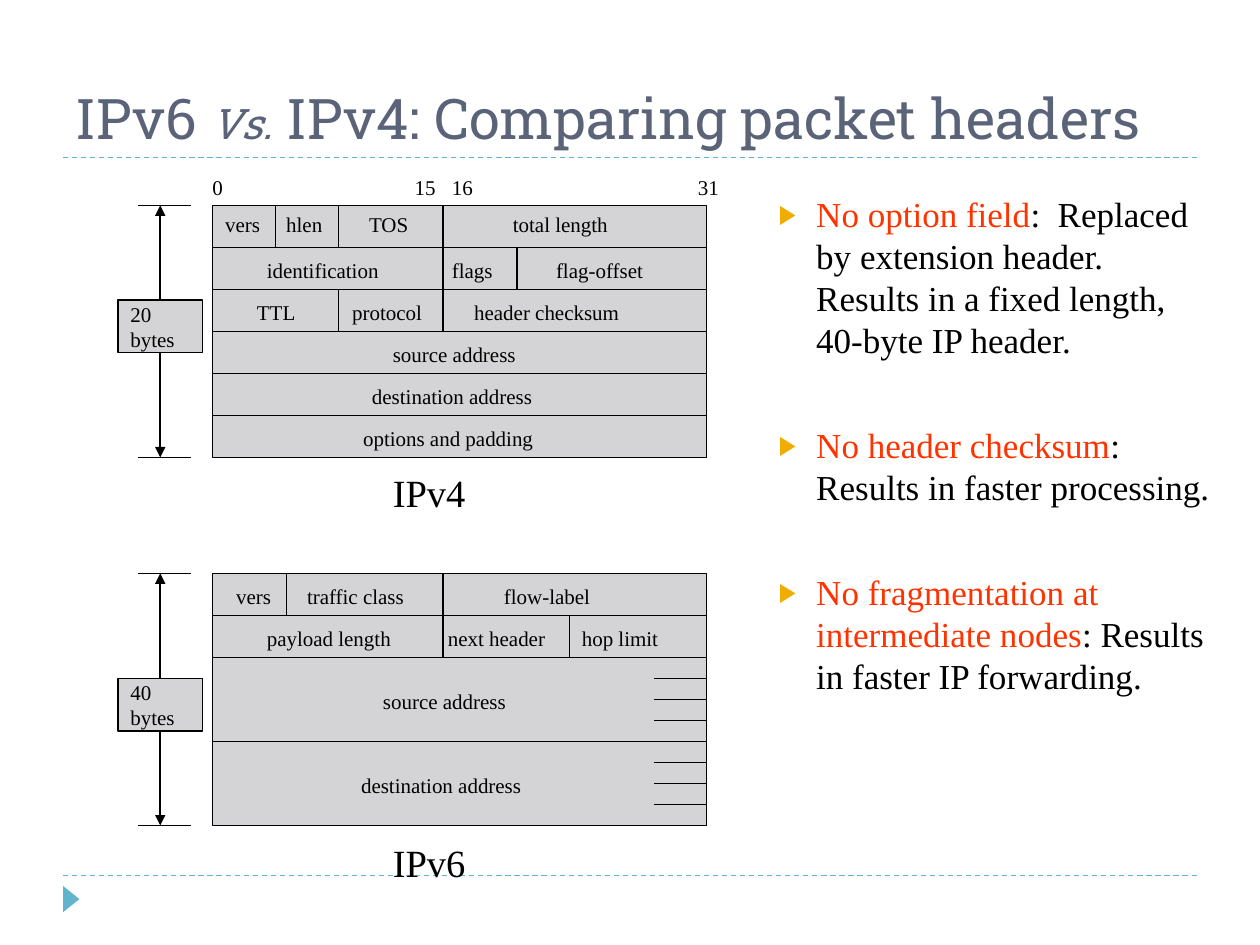
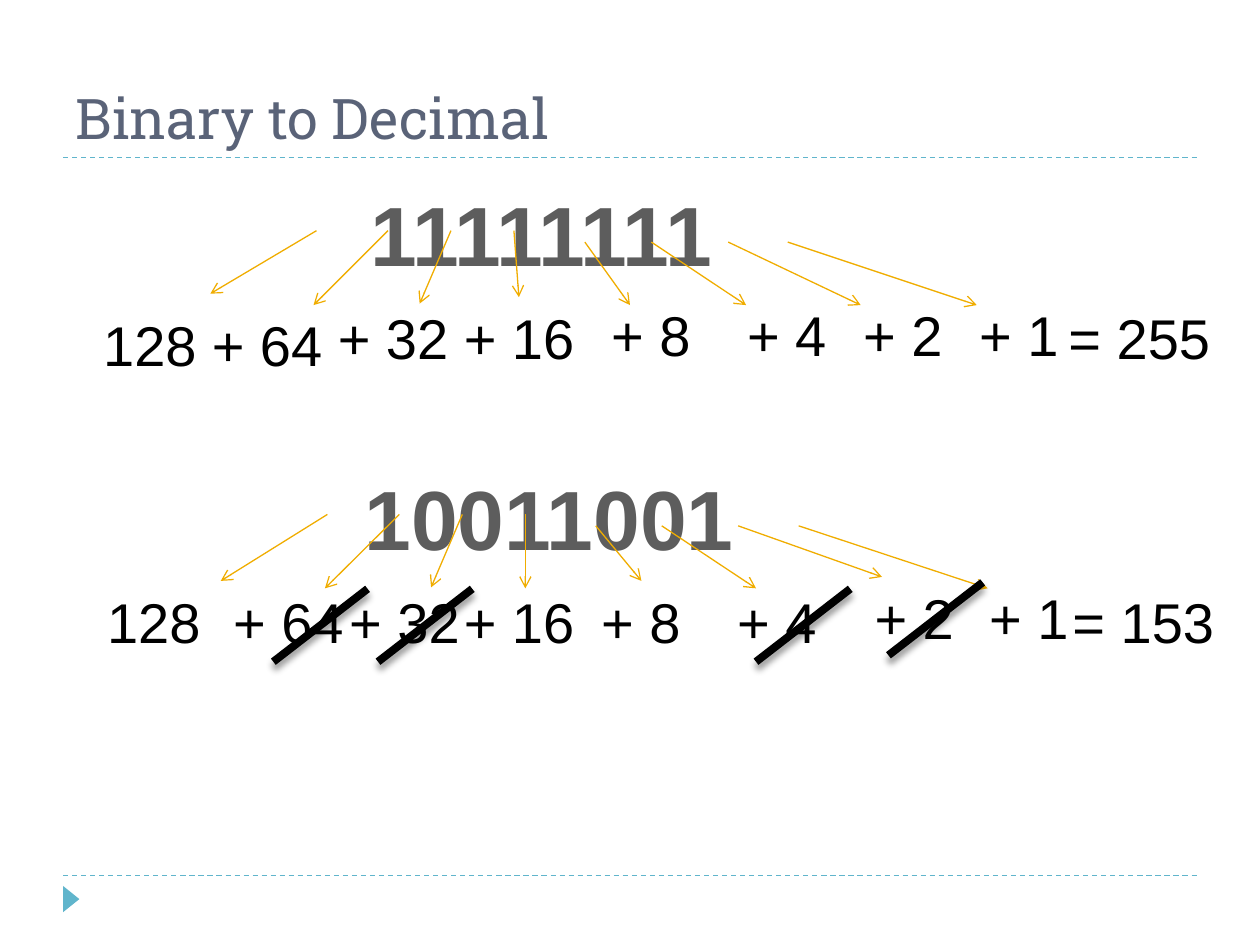
from lxml import etree
from pptx import Presentation
from pptx.dml.color import RGBColor
from pptx.enum.dml import MSO_LINE
from pptx.enum.shapes import MSO_CONNECTOR, MSO_SHAPE
from pptx.enum.text import MSO_ANCHOR, MSO_AUTO_SIZE, PP_ALIGN
from pptx.oxml.ns import qn
from pptx.util import Cm, Pt

STRAIGHT = MSO_CONNECTOR.STRAIGHT
RECT, WEDGE = MSO_SHAPE.RECTANGLE, MSO_SHAPE.ISOSCELES_TRIANGLE
DASH = MSO_LINE.DASH
LEFT = PP_ALIGN.LEFT
MIDDLE, BOTTOM = MSO_ANCHOR.MIDDLE, MSO_ANCHOR.BOTTOM
FIXED = MSO_AUTO_SIZE.NONE

BLACK = RGBColor(0x00, 0x00, 0x00)
TEAL = RGBColor(0x60, 0xB5, 0xCC)
SLATE = RGBColor(0x5A, 0x63, 0x78)
GREY = RGBColor(0xD4, 0xD4, 0xD6)
DARK = RGBColor(0x5D, 0x5D, 0x5D)
GOLD = RGBColor(0xF0, 0xAD, 0x00)
RED = RGBColor(0xFF, 0x33, 0x00)

SLAB, SERIF, SANS = "Roboto Slab", "Times New Roman", "Arial"

# Packet header grid, in cm
EDGE, WIDE, TALL = 4.29, 9.95, 5.08
ROW = TALL / 6

# Fields: text, left, row
IPV4 = [
    ("vers", 4.54, -0.1), ("hlen", 5.77, -0.1), ("TOS", 7.44, -0.1),
    ("total length", 10.34, -0.1),
    ("identification", 5.38, 1), ("flags", 9.11, 1), ("flag-offset", 11.21, 1),
    ("TTL", 5.18, 2), ("protocol", 7.1, 2), ("header checksum", 9.56, 2),
    ("source address", 7.92, 3), ("destination address", 7.5, 4),
    ("options and padding", 7.32, 5),
]
IPV6 = [
    ("vers", 4.76, 0), ("traffic class", 6.19, 0), ("flow-label", 10.16, 0),
    ("payload length", 5.38, 1), ("next header", 9.03, 1),
    ("hop limit", 11.73, 1),
    ("source address", 7.72, 2.5), ("destination address", 7.28, 4.5),
]
# Dividers: left, first row, last row
CUTS4 = [(5.56, 0, 1), (6.83, 0, 1), (8.93, 0, 3), (10.42, 1, 2), (6.83, 2, 3)]
CUTS6 = [(5.77, 0, 1), (8.93, 0, 2), (11.48, 1, 2)]

POINTS = [
    ("No option field", ":  Replaced by extension header.  "
     "Results in a fixed length, 40-byte IP header."),
    ("No header checksum", ":  Results in faster processing."),
    ("No fragmentation at intermediate nodes",
     ": Results in faster IP forwarding."),
]

# Terms: text, left, top, then arrow start x, end x and end y
SUM255 = [
    ("128", 2.08, 6.27, 6.38, 4.24, 5.92),
    ("+ 64", 4.27, 6.27, 7.82, 6.32, 6.15),
    ("+ 32", 6.81, 6.12, 9.09, 8.46, 6.12),
    ("+ 16", 9.35, 6.12, 10.36, 10.46, 5.99),
    ("+ 8", 12.32, 6.05, 11.79, 12.7, 6.15),
    ("+ 4", 15.06, 6.05, 13.13, 15.04, 6.15),
    ("+ 2", 17.4, 6.05, 14.68, 17.35, 6.15),
    ("+ 1", 19.74, 6.05, 15.88, 19.69, 6.15),
]
SUM153 = [
    ("128", 2.16, 11.84, 6.6, 4.45, 11.71),
    ("+ 64", 4.7, 11.84, 8.05, 6.55, 11.86),
    ("+ 32", 7.04, 11.84, 9.32, 8.69, 11.84),
    ("+ 16", 9.35, 11.84, 10.59, 10.59, 11.86),
    ("+ 8", 12.12, 11.84, 12.01, 12.93, 11.71),
    ("+ 4", 14.86, 11.84, 13.34, 15.24, 11.86),
    ("+ 2", 17.63, 11.76, 14.88, 17.78, 11.63),
    ("+ 1", 19.94, 11.76, 16.1, 19.91, 11.86),
]
STRIKES = [(5.51, 13.34), (7.62, 13.34), (15.24, 13.34), (17.91, 13.21)]


def add_run(para, text, size, font, color, bold=False, italic=False):
    run = para.add_run()
    run.text = text
    face = run.font
    face.size, face.name = Pt(size), font
    face.bold, face.italic = bold, italic
    face.color.rgb = color


def add_line(slide, x1, y1, x2, y2, color=BLACK, width=0.75, head=None):
    line = slide.shapes.add_connector(STRAIGHT, Cm(x1), Cm(y1), Cm(x2), Cm(y2))
    line.line.color.rgb = color
    line.line.width = Pt(width)
    if head:
        etree.SubElement(line.line._get_or_add_ln(), qn("a:tailEnd"), type=head)
    etree.SubElement(line._element.spPr, qn("a:effectLst"))
    return line


def add_shape(slide, kind, x, y, wide, tall, fill, edge=None):
    shape = slide.shapes.add_shape(kind, Cm(x), Cm(y), Cm(wide), Cm(tall))
    shape.shadow.inherit = False
    shape.fill.solid()
    shape.fill.fore_color.rgb = fill
    if edge is None:
        shape.line.fill.background()
    else:
        shape.line.color.rgb = edge
        shape.line.width = Pt(0.75)
    return shape


def add_label(slide, text, x, y, size=12, font=SERIF, color=BLACK, bold=False):
    box = slide.shapes.add_textbox(
        Cm(x), Cm(y), Cm(len(text) * size * 0.025), Cm(size * 0.042))
    frame = box.text_frame
    frame.word_wrap = True
    frame.margin_left = frame.margin_right = 0
    frame.margin_top = frame.margin_bottom = 0
    add_run(frame.paragraphs[0], text, size, font, color, bold)


def add_frame(slide, parts):
    """Title, dashed rules and corner wedge shared by all slides."""
    for y in (17.65, 3.18):
        add_line(slide, 1.27, y, 24.13, y, TEAL).line.dash_style = DASH
    add_shape(slide, WEDGE, 1.17, 17.96, 0.53, 0.33, TEAL).rotation = 90
    title = slide.shapes.title
    title.left, title.top = Cm(1.27), Cm(0.43)
    title.width, title.height = Cm(23.93), Cm(2.74)
    frame = title.text_frame
    frame.auto_size = FIXED
    frame.vertical_anchor = BOTTOM
    para = frame.paragraphs[0]
    para.alignment = LEFT
    for text, size, italic in parts:
        add_run(para, text, size, SLAB, SLATE, italic=italic)


def add_span(slide, count, top, drop):
    """Byte count in a box, with arrows to both ends of the header."""
    end = top + TALL
    box = add_shape(slide, RECT, 2.38, top + drop, 1.7, 1.06, GREY, BLACK)
    frame = box.text_frame
    frame.word_wrap = False
    frame.vertical_anchor = MIDDLE
    for para, text in ((frame.paragraphs[0], count),
                       (frame.add_paragraph(), "bytes")):
        para.alignment = LEFT
        add_run(para, text, 12, SERIF, BLACK)
    for y, site in ((top, 0), (end, 2)):
        add_line(slide, 2.79, y, 3.86, y)
        arrow = add_line(slide, 3.23, top + drop, 3.23, y, width=1,
                         head="triangle")
        arrow.begin_connect(box, site)


def add_header(slide, name, top, fields, rows, cuts, low):
    """Packet header: panel, row lines, dividers, fields and caption."""
    add_shape(slide, RECT, EDGE, top, WIDE, TALL, GREY, BLACK)
    for row in rows:
        y = top + row * ROW
        add_line(slide, EDGE, y, EDGE + WIDE, y)
    for x, first, last in cuts:
        add_line(slide, x, top + first * ROW, x, top + last * ROW)
    for text, x, row in fields:
        add_label(slide, text, x, top + row * ROW + 0.2)
    add_label(slide, name, 7.92, low, 22)


def add_points(slide):
    body = slide.placeholders[1]
    body.left, body.top = Cm(15.44), Cm(3.76)
    body.width, body.height = Cm(9.32), Cm(11.25)
    frame = body.text_frame
    frame.auto_size = FIXED
    for i, (lead, rest) in enumerate(POINTS):
        para = frame.add_paragraph() if i else frame.paragraphs[0]
        para.line_spacing = Pt(24)
        para.space_before = Pt(36 if i else 0)
        add_run(para, lead, 20, SERIF, RED)
        add_run(para, rest, 20, SERIF, BLACK)
        props = para._p.get_or_add_pPr()
        props.set("marL", str(Cm(0.76)))
        props.set("indent", str(-Cm(0.76)))
        tint = etree.SubElement(props, qn("a:buClr"))
        etree.SubElement(tint, qn("a:srgbClr"), val=str(GOLD))
        etree.SubElement(props, qn("a:buSzPct"), val="76000")
        etree.SubElement(props, qn("a:buChar"), char="▶")


def add_sum(slide, bits, x, y, terms, total, end):
    """Binary number with arrows to its decimal terms."""
    add_label(slide, bits, x, y, 48, SANS, DARK, True)
    for i, (text, left, top, x1, x2, y2) in enumerate(terms):
        y1 = y + (0.97 if i < 4 else 1.2)
        add_line(slide, x1, y1, x2, y2, GOLD, head="arrow")
        add_label(slide, text, left, top, 32, SANS)
    add_label(slide, total, *end, 32, SANS)


def add_strike(slide, x, y):
    line = add_line(slide, x, y, x + 1.9, y - 1.47, width=4.5)
    effects = line._element.spPr.find(qn("a:effectLst"))
    shade = etree.SubElement(
        effects, qn("a:outerShdw"), blurRad=str(Pt(4)), dist=str(Pt(3.4)),
        dir="5400000", rotWithShape="0")
    tint = etree.SubElement(shade, qn("a:srgbClr"), val=str(BLACK))
    etree.SubElement(tint, qn("a:alpha"), val="40000")


def main():
    deck = Presentation()
    deck.slide_width, deck.slide_height = Cm(25.4), Cm(19.05)

    # Packet headers
    slide = deck.slides.add_slide(deck.slide_layouts[1])
    add_frame(slide, [("IPv6 ", 32, False), ("Vs.", 24, True),
                      (" IPv4: Comparing packet headers", 32, False)])
    add_header(slide, "IPv4", 4.14, IPV4, range(1, 6), CUTS4, 9.45)
    add_header(slide, "IPv6", 11.56, IPV6, (1, 2, 4), CUTS6, 16.92)
    for row in (2.5, 3, 3.5, 4.5, 5, 5.5):
        y = 11.56 + row * ROW
        add_line(slide, 13.18, y, EDGE + WIDE, y)
    for bit, x in (("0", 4.28), ("15", 8.36), ("16", 9.11), ("31", 14.07)):
        add_label(slide, bit, x, 3.51)
    add_span(slide, "20", 4.14, 1.91)
    add_span(slide, "40", 11.56, 2.12)
    add_points(slide)

    # Binary sums
    slide = deck.slides.add_slide(deck.slide_layouts[5])
    add_frame(slide, [("Binary to Decimal", 32, False)])
    add_sum(slide, "11111111", 7.47, 3.68, SUM255, "= 255", (21.54, 6.12))
    add_sum(slide, "10011001", 7.35, 9.4, SUM153, "= 153", (21.62, 11.84))
    for x, y in STRIKES:
        add_strike(slide, x, y)

    deck.save("out.pptx")


if __name__ == "__main__":
    main()
